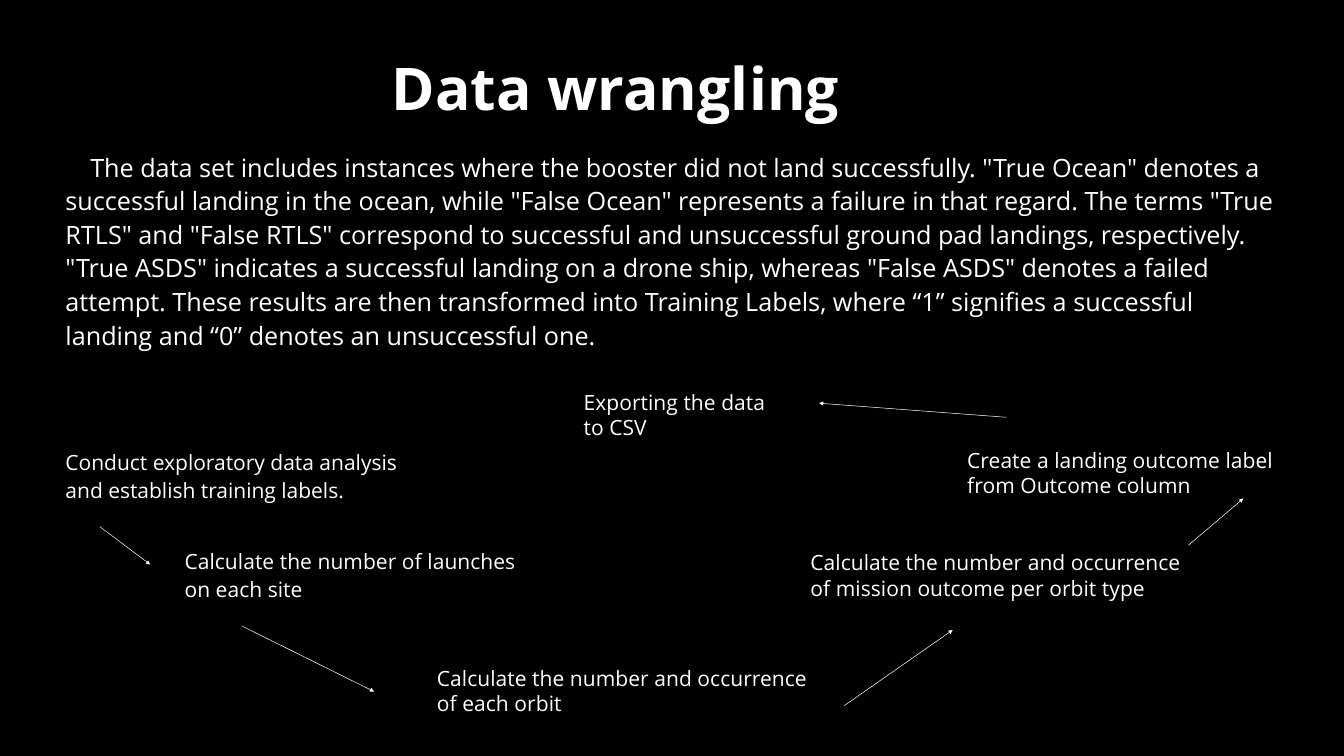
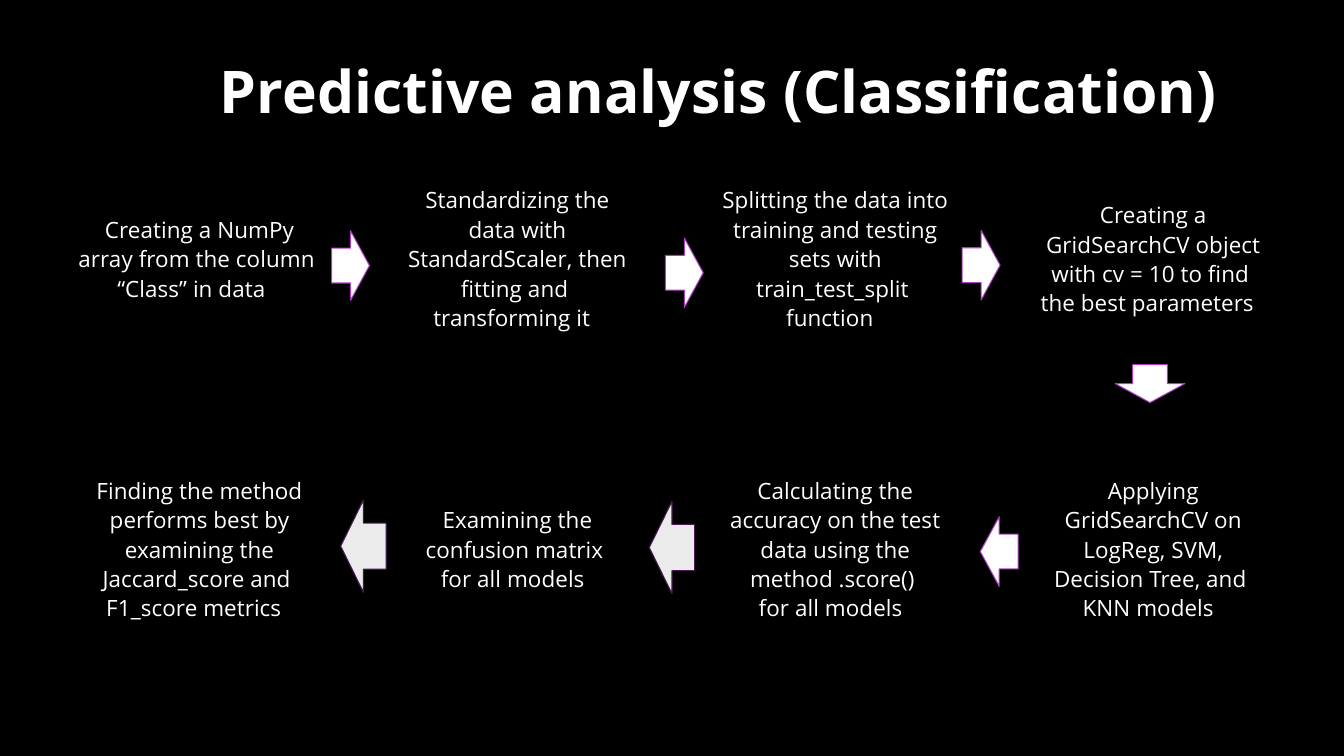
from lxml.etree import SubElement as Sub
from pptx import Presentation
from pptx.dml.color import RGBColor as Rgb
from pptx.enum.shapes import MSO_CONNECTOR as Conn, MSO_SHAPE as Kind
from pptx.enum.text import MSO_ANCHOR as Anchor, MSO_AUTO_SIZE as Auto, PP_ALIGN as Align
from pptx.oxml.ns import qn
from pptx.util import Cm, Pt


def hue(code):
    return Rgb.from_string(code)


def assign(item, vals):
    for key, val in vals.items():
        setattr(item, key, val)


class Deck:
    """Holds the shared style and the slide being built."""

    WHITE, BLACK, FACE = "FFFFFF", "000000", "Open Sans"
    FRAME = dict(margin_left=0, margin_top=0, margin_right=0, margin_bottom=0,
                 word_wrap=True, auto_size=Auto.NONE, vertical_anchor=Anchor.TOP)

    def __init__(self, wide, high):
        self.prs = Presentation()
        assign(self.prs, dict(slide_width=Cm(wide), slide_height=Cm(high)))

    def page(self, text, left, top, wide):
        self.slide = self.prs.slides.add_slide(self.prs.slide_layouts[5])
        back = self.slide.background.fill
        back.solid()
        back.fore_color.rgb = hue(self.BLACK)
        title = self.slide.shapes.title
        assign(title, dict(left=Cm(left), top=Cm(top), width=Cm(wide), height=Cm(3.94)))
        self.fit(title.text_frame, text, 84, 117.6, 20, bold=True)

    def fit(self, frame, text, size, lead=None, track=0, align=Align.LEFT,
            bold=False, indent=0):
        assign(frame, self.FRAME)
        para = frame.paragraphs[0]
        para.alignment = align
        if lead:
            para.line_spacing = Pt(lead)
        if indent:
            para._p.get_or_add_pPr().set("indent", str(Cm(indent)))
        run = para.add_run()
        run.text = text
        assign(run.font, dict(name=self.FACE, size=Pt(size), bold=bold))
        run.font.color.rgb = hue(self.WHITE)
        run._r.get_or_add_rPr().set("spc", str(track))

    def text(self, text, left, top, wide, high, size, **style):
        box = self.slide.shapes.add_textbox(Cm(left), Cm(top), Cm(wide), Cm(high))
        self.fit(box.text_frame, text, size, **style)

    def arrow(self, *ends):
        line = self.slide.shapes.add_connector(Conn.STRAIGHT, *map(Cm, ends))
        line.line.width = Pt(0.75)
        line.line.color.rgb = hue(self.WHITE)
        Sub(line.line._get_or_add_ln(), qn("a:tailEnd"), type="triangle")
        Sub(line._element.spPr, qn("a:effectLst"))

    def block(self, kind, left, top, size, fill, edge, turn=0):
        shape = self.slide.shapes.add_shape(kind, Cm(left), Cm(top), *map(Cm, size))
        shape.shadow.inherit = False
        shape.rotation = turn
        shape.fill.solid()
        shape.fill.fore_color.rgb = hue(fill)
        shape.line.color.rgb = hue(edge)
        shape.line.width = Pt(1.5)

    def step(self, col, mid, rows, head, wide, tail, span):
        lead = 42
        row = Pt(lead).cm
        axis = 10.06 + 16.02 * col
        top = mid - (rows + 1) * row / 2
        style = dict(size=32, lead=lead, track=10)
        self.text(head, axis - wide / 2, top, wide, rows * row,
                  align=Align.CENTER, **style)
        self.text(tail, axis - 0.17 - span / 2, top + rows * row, span, row, **style)


def wrangle(deck):
    deck.page("Data wrangling", 19.74, 2.01, 28.27)
    deck.text(
        'The data set includes instances where the booster did not land successfully. '
        '"True Ocean" denotes a successful landing in the ocean, while "False Ocean" '
        'represents a failure in that regard. The terms "True RTLS" and "False RTLS" '
        'correspond to successful and unsuccessful ground pad landings, respectively. '
        '"True ASDS" indicates a successful landing on a drone ship, whereas "False ASDS" '
        'denotes a failed attempt. These results are then transformed into Training Labels, '
        'where “1” signifies a successful landing and “0” denotes an unsuccessful one.',
        3.3, 7.49, 61.26, 10.16, 36, lead=48, indent=1.25)
    notes = [
        ("Conduct exploratory data analysis and establish training labels.",
         3.3, 22.53, 17.75, 5.61, 40, 0),
        ("Calculate the number of launches on each site", 9.3, 27.48, 17.58, 2.77, 40, 10),
        ("Calculate the number and occurrence of each orbit",
         22.02, 33.53, 19.76, 2.57, None, 10),
        ("Calculate the number and occurrence of mission outcome per orbit type",
         40.84, 27.71, 19.76, 2.57, None, 10),
        ("Create a landing outcome label from Outcome column",
         48.74, 22.53, 16.33, 3.84, None, 10),
        ("Exporting the data to CSV", 29.41, 19.61, 9.78, 2.57, None, 10),
    ]
    for *spot, lead, track in notes:
        deck.text(*spot, 30, lead=lead, track=track)
    for ends in [(5.03, 26.54, 7.57, 28.45), (12.19, 31.55, 18.85, 34.85),
                 (42.55, 35.56, 48.01, 31.75), (59.89, 27.48, 62.66, 25.12),
                 (50.72, 21.03, 41.28, 20.32)]:
        deck.arrow(*ends)


def predict(deck):
    deck.page("Predictive analysis (Classification)", 11.07, 2.18, 51.99)
    upper = [
        (2, "Creating a NumPy array from the column ", 12.45, "“Class” in data", 7.95),
        (4, "Standardizing the data with StandardScaler, then fitting and ", 11.81,
         "transforming it", 8.15),
        (4, "Splitting the data into training and testing sets with train_test_split ",
         12.14, "function", 4.62),
        (3, "Creating a GridSearchCV object with cv = 10 to find ", 11.91,
         "the best parameters", 11.02),
    ]
    lower = [
        (4, "Finding the method performs best by examining the Jaccard_score and ",
         11.02, "F1_score metrics", 9.07),
        (2, "Examining the confusion matrix ", 9.55, "for all models", 7.39),
        (4, "Calculating the accuracy on the test data using the method .score() ",
         11.43, "for all models", 7.39),
        (4, "Applying GridSearchCV on LogReg, SVM, Decision Tree, and ", 10.39,
         "KNN models", 6.78),
    ]
    for mid, steps in ((12.98, upper), (27.61, lower)):
        for col, step in enumerate(steps):
            deck.step(col, mid, *step)
    for left, top, turn in [(16.71, 11.63, 0), (33.53, 11.99, 0), (48.49, 11.61, 0),
                            (57, 17.58, 90), (49.4, 26.04, 180)]:
        deck.block(Kind.RIGHT_ARROW, left, top, (1.91, 3.51), deck.WHITE, "AC3EC1", turn)
    for left, top in [(32.72, 25.27), (17.17, 25.2)]:
        deck.block(Kind.LEFT_ARROW, left, top, (2.29, 4.65), "EBEBEB", "4B1B55")


def main():
    deck = Deck(67.73, 38.1)
    wrangle(deck)
    predict(deck)
    deck.prs.save("out.pptx")


if __name__ == "__main__":
    main()
